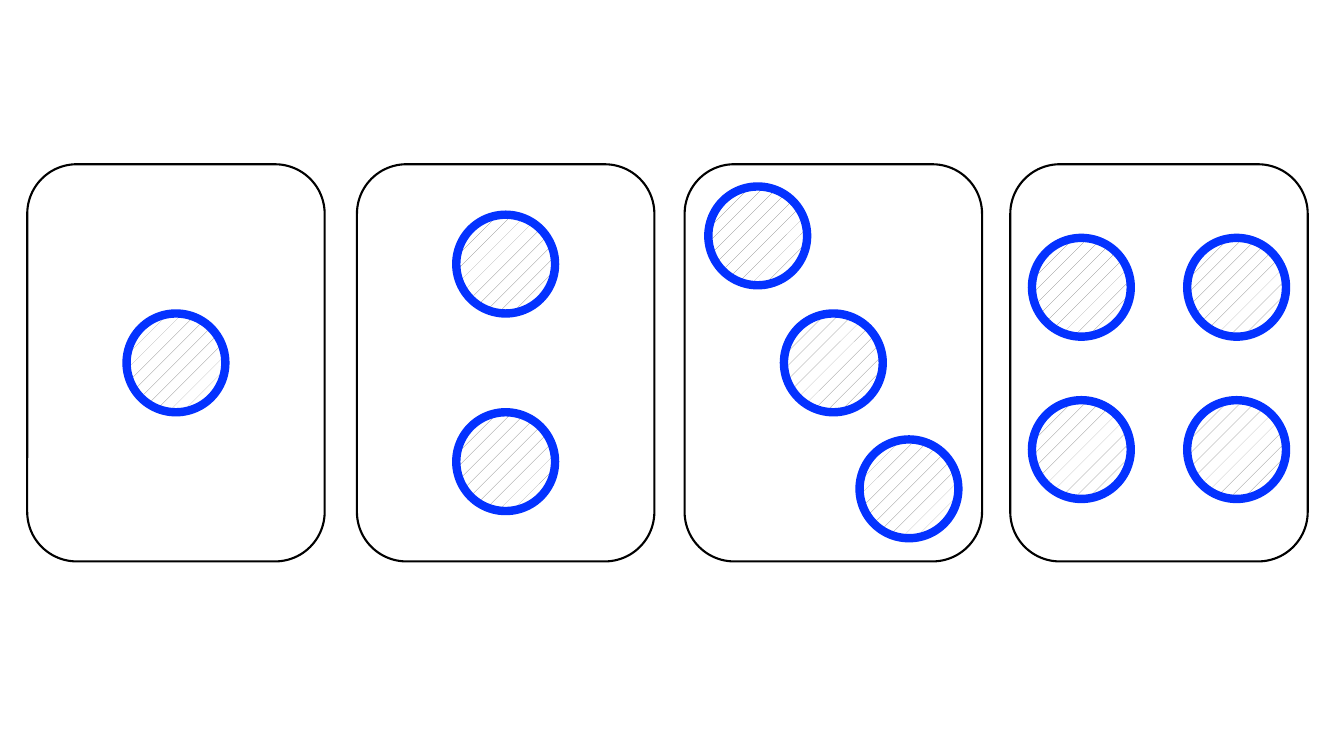
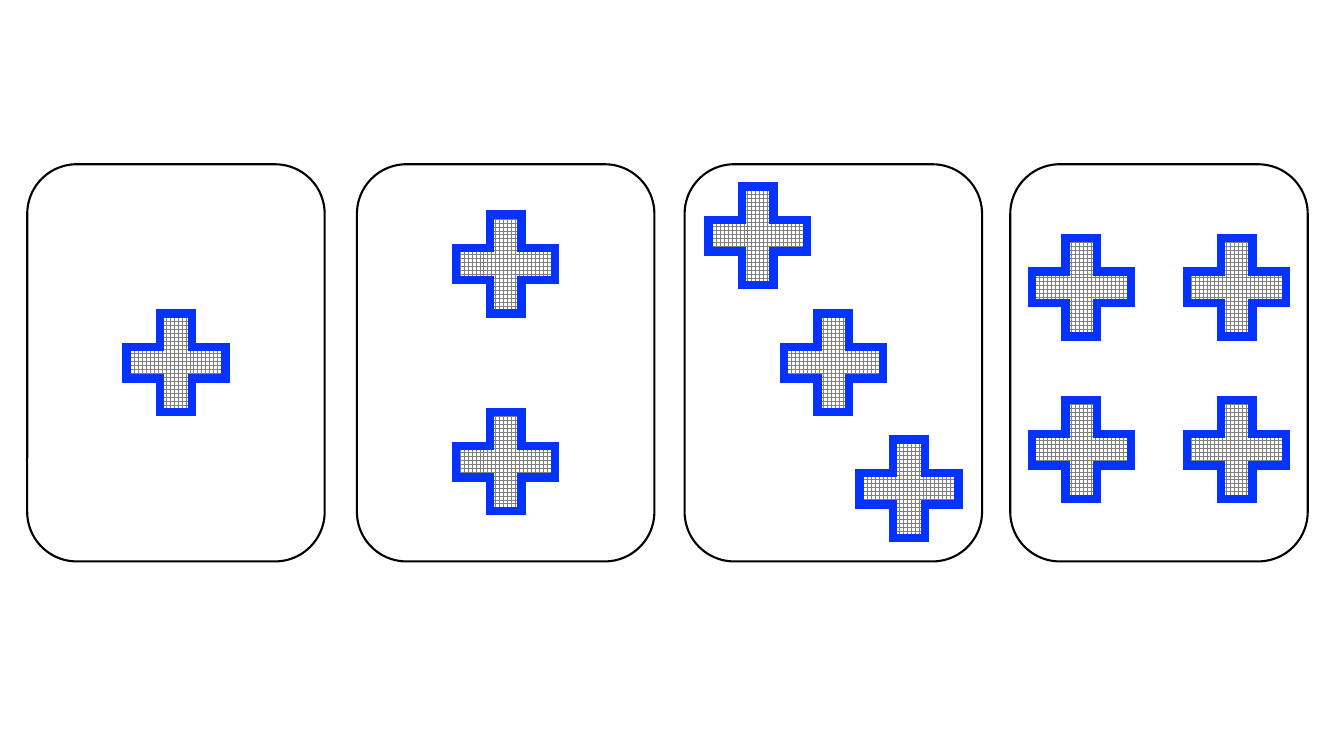
from dataclasses import dataclass

from lxml import etree
from pptx import Presentation
from pptx.dml.color import RGBColor
from pptx.enum.dml import MSO_PATTERN
from pptx.enum.shapes import MSO_SHAPE
from pptx.oxml.ns import qn
from pptx.slide import Slide
from pptx.util import Inches, Pt

ROUNDED = MSO_SHAPE.ROUNDED_RECTANGLE
OVAL = MSO_SHAPE.OVAL
CROSS = MSO_SHAPE.CROSS
DOTS = MSO_PATTERN.PERCENT_5
GRID = MSO_PATTERN.LARGE_GRID

BLACK = RGBColor(0x00, 0x00, 0x00)
WHITE = RGBColor(0xFF, 0xFF, 0xFF)
GRAY = RGBColor(0x80, 0x80, 0x80)
BLUE = RGBColor(0x04, 0x32, 0xFF)

CARD_TOP, CARD_W, CARD_H = 1.63, 2.95, 3.94
MARK_SIZE = 0.98


@dataclass(frozen=True)
class Card:
    left: float
    offsets: tuple[tuple[float, float], ...]


@dataclass(frozen=True)
class Mark:
    shape: MSO_SHAPE
    pattern: MSO_PATTERN
    adjustment: float | None = None


CARDS = (
    Card(0.27, ((0, 0),)),
    Card(3.54, ((0, -0.98), (0, 0.98))),
    Card(6.79, ((-0.75, -1.26), (0, 0), (0.75, 1.25))),
    Card(10.02, tuple((x, y) for y in (-0.75, 0.86) for x in (-0.77, 0.77))),
)
SUITS = (Mark(OVAL, DOTS), Mark(CROSS, GRID, 0.34))


def add_outlined(s: Slide, kind: MSO_SHAPE, left: float, top: float,
                 width: float, height: float, color: RGBColor, weight: float):
    sp = s.shapes.add_shape(kind, Inches(left), Inches(top), Inches(width), Inches(height))
    sp.shadow.inherit = False
    sp.line.color.rgb = color
    sp.line.width = Pt(weight)
    return sp


def add_mark(s: Slide, mark: Mark, center_x: float, center_y: float) -> None:
    sp = add_outlined(s, mark.shape, center_x - MARK_SIZE / 2, center_y - MARK_SIZE / 2,
                      MARK_SIZE, MARK_SIZE, BLUE, 6)
    if mark.adjustment is not None:
        sp.adjustments[0] = mark.adjustment
    sp.fill.patterned()
    sp.fill.pattern = mark.pattern
    sp.fill.fore_color.rgb = GRAY
    sp.fill.back_color.rgb = WHITE
    ln = sp.element.spPr.find(qn("a:ln"))
    etree.SubElement(ln, qn("a:miter")).set("lim", "800000")


def add_card(s: Slide, card: Card, mark: Mark) -> None:
    sp = add_outlined(s, ROUNDED, card.left, CARD_TOP, CARD_W, CARD_H, BLACK, 1.5)
    sp.fill.solid()
    sp.fill.fore_color.rgb = WHITE
    for dx, dy in card.offsets:
        add_mark(s, mark, card.left + CARD_W / 2 + dx, CARD_TOP + CARD_H / 2 + dy)


def main() -> None:
    prs = Presentation()
    prs.slide_width, prs.slide_height = Inches(13.33), Inches(7.5)
    for mark in SUITS:
        s = prs.slides.add_slide(prs.slide_layouts[6])
        for card in CARDS:
            add_card(s, card, mark)
    prs.save("out.pptx")


if __name__ == "__main__":
    main()
